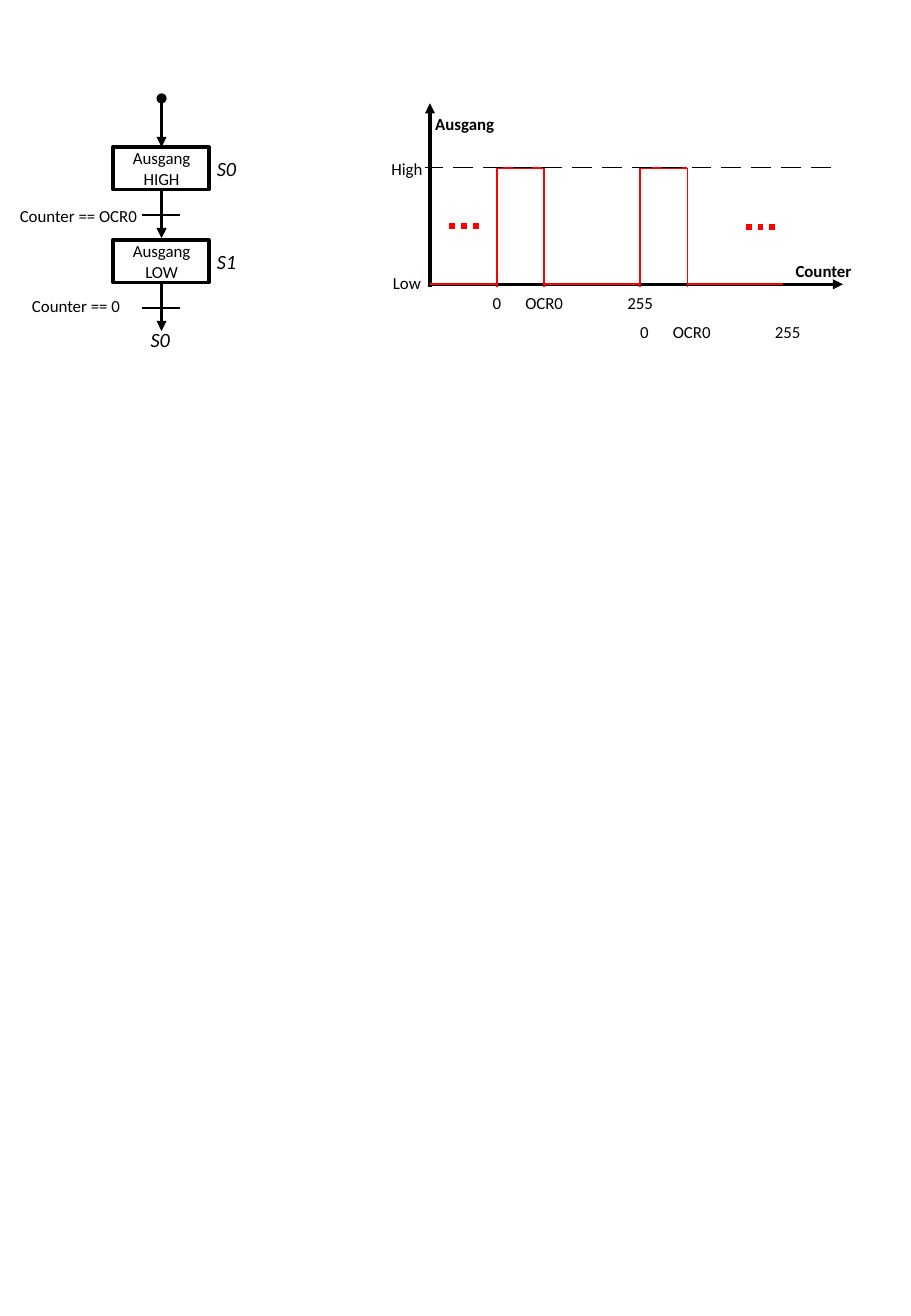
import pptx
import pptx.dml.color
import pptx.enum.shapes
import pptx.enum.text
import pptx.oxml
import pptx.oxml.ns
import pptx.util
import lxml.etree

BLACK, RED = "000000", "FF0000"
THIN, SIGNAL, BOLD, DOTS = 0.75, 1, 2, 3.5


def color(hex_code):
    """Turn a hex string into a colour."""
    return pptx.dml.color.RGBColor.from_string(hex_code)


def cells(count):
    """Turn a number of grid cells, 75 across the slide, into a length."""
    return pptx.util.Inches(count / 10)


class Sketch:
    """Holds the text style and the current slide; positions are grid cells."""

    def __init__(self, slide, font="Calibri", size=10):
        self.shapes, self.font, self.size = slide.shapes, font, size

    def frame(self, left, top, width, height):
        """Draw an unfilled state box."""
        state = self.shapes.add_shape(
            pptx.enum.shapes.MSO_SHAPE.RECTANGLE,
            cells(left), cells(top), cells(width), cells(height))
        state.shadow.inherit = False
        state.fill.background()
        state.line.color.rgb = color(BLACK)
        state.line.width = pptx.util.Pt(BOLD)

    def label(self, text, x, y, width=7, height=2.7, wrap=False,
              size=None, bold=False, italic=False):
        """Write text centred on a point."""
        caption = self.shapes.add_textbox(
            cells(x - width / 2), cells(y - height / 2), cells(width), cells(height))
        body = caption.text_frame
        body.word_wrap = wrap
        body.vertical_anchor = pptx.enum.text.MSO_ANCHOR.MIDDLE
        body.paragraphs[0].alignment = pptx.enum.text.PP_ALIGN.CENTER
        run = body.paragraphs[0].add_run()
        run.text = text
        run.font.name, run.font.size = self.font, pptx.util.Pt(size or self.size)
        run.font.bold, run.font.italic = bold, italic
        run.font.color.rgb = color(BLACK)

    def line(self, start, end, width=THIN, ink=BLACK, head=None, tail=None, dash=None):
        """Draw a line; dash is the dash and gap length in line widths."""
        stroke = self.shapes.add_connector(
            pptx.enum.shapes.MSO_CONNECTOR.STRAIGHT,
            cells(start[0]), cells(start[1]), cells(end[0]), cells(end[1]))
        stroke.line.color.rgb = color(ink)
        stroke.line.width = pptx.util.Pt(width)
        qn = pptx.oxml.ns.qn
        properties = stroke.line._get_or_add_ln()
        if dash:
            pattern = lxml.etree.SubElement(properties, qn("a:custDash"))
            lxml.etree.SubElement(pattern, qn("a:ds"), d=str(dash[0] * 100000),
                                  sp=str(dash[1] * 100000))
        for tag, kind in (("a:headEnd", head), ("a:tailEnd", tail)):
            if kind:
                lxml.etree.SubElement(properties, qn(tag), type=kind)
        lxml.etree.SubElement(stroke._element.spPr, qn("a:effectLst"))

    def arrow(self, start, end, head=None):
        """Draw a bold arrow."""
        self.line(start, end, BOLD, head=head, tail="triangle")


def draw_state_machine(sketch):
    """Draw the two states, their transitions and the way back to S0."""
    axis, first, pitch = 13.3, 12.1, 7.65
    sketch.arrow((axis, 8.1), (axis, first), head="oval")
    steps = (("Ausgang HIGH", "S0", "Counter == OCR0", 6.45, 17.75),
             ("Ausgang LOW", "S1", "Counter == 0", 6.25, 25.15))
    for index, (output, state, condition, condition_x, condition_y) in enumerate(steps):
        top = first + index * pitch
        sketch.frame(9.3, top, 7.9, 3.5)
        sketch.label(output, axis, top + 1.75, 7.9, 4.3, wrap=True)
        sketch.label(state, 18.65, top + 1.8, 11, 3, size=12, italic=True)
        sketch.arrow((axis, top + 3.55), (axis, top + 7.5))
        sketch.line((14.8, top + 5.6), (11.7, top + 5.6))
        sketch.label(condition, condition_x, condition_y, 12)
    sketch.label("S0", 13.2, 27.9, 11, 3, size=12, italic=True)


def draw_timing(sketch):
    """Draw the output level over the counter value for two periods."""
    origin, low, high, foot = 35.4, 23.4, 13.8, 23.6
    first_rise, pulse, period = 40.9, 3.9, 11.8
    sketch.arrow((origin, low), (69.4, low))
    sketch.arrow((origin, foot), (origin, 8.5))
    sketch.line((origin, low), (first_rise, low), SIGNAL, RED)
    for index in range(2):
        rise = first_rise + index * period
        fall = rise + pulse
        for edge in (rise, fall):
            sketch.line((edge, foot), (edge, high), SIGNAL, RED)
        sketch.line((rise, high), (fall, high), SIGNAL, RED)
        sketch.line((fall, low), (rise + period, low), SIGNAL, RED)
        ticks = (("0", 0), ("OCR0", pulse), ("255", period))
        for value, offset in ticks:
            sketch.label(value, first_rise + index * 12.15 + offset, 24.95 + index * 2.35)
    for left, y in ((37, 18.6), (61.4, 18.7)):
        sketch.line((left, y), (left + 2.4, y), DOTS, RED, dash=(1, 1))
    sketch.line((68.4, high), (35, high), dash=(16, 8))
    sketch.label("Counter", 67.8, 22.25, bold=True)
    sketch.label("Ausgang", 38.25, 10.2, bold=True)
    sketch.label("High", 33.5, 13.85)
    sketch.label("Low", 33.5, 23.25)


deck = pptx.Presentation()
deck.slide_width, deck.slide_height = cells(75), cells(108.3)
pwm = Sketch(deck.slides.add_slide(deck.slide_layouts[6]))
draw_state_machine(pwm)
draw_timing(pwm)
deck.save("out.pptx")
